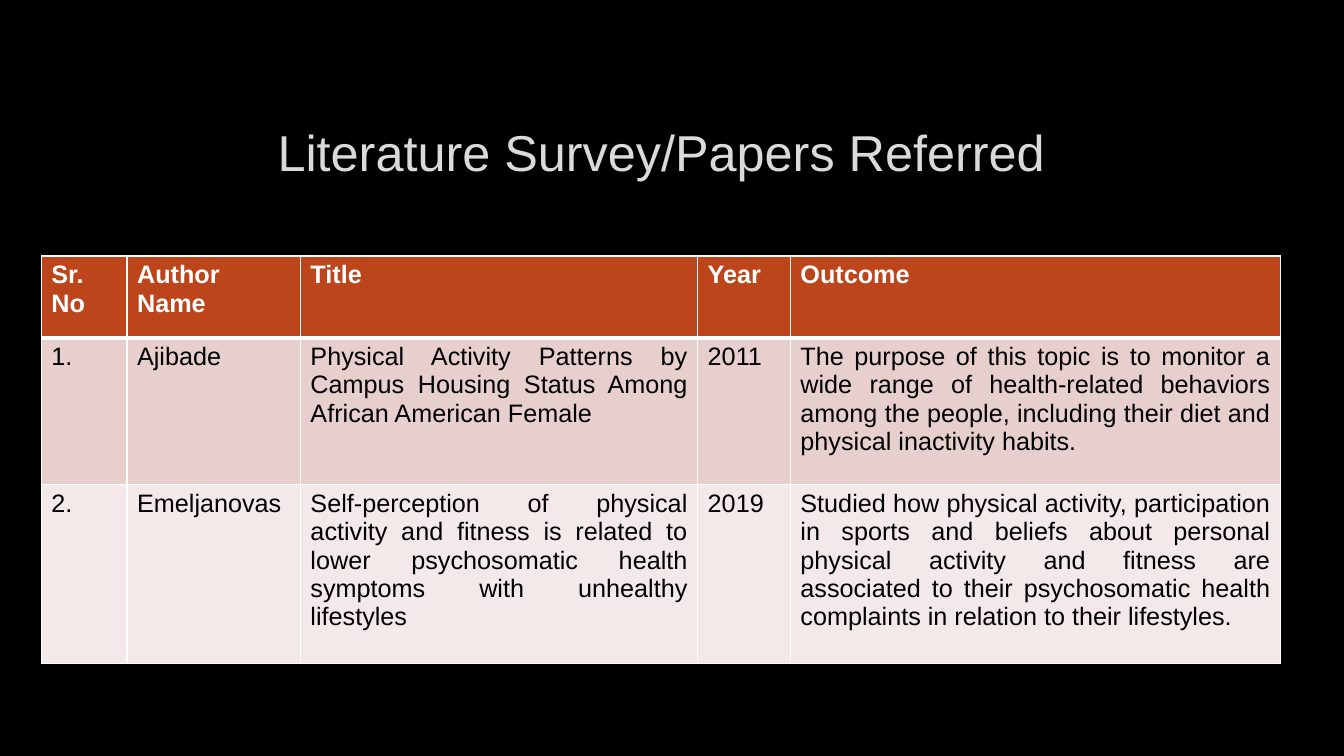
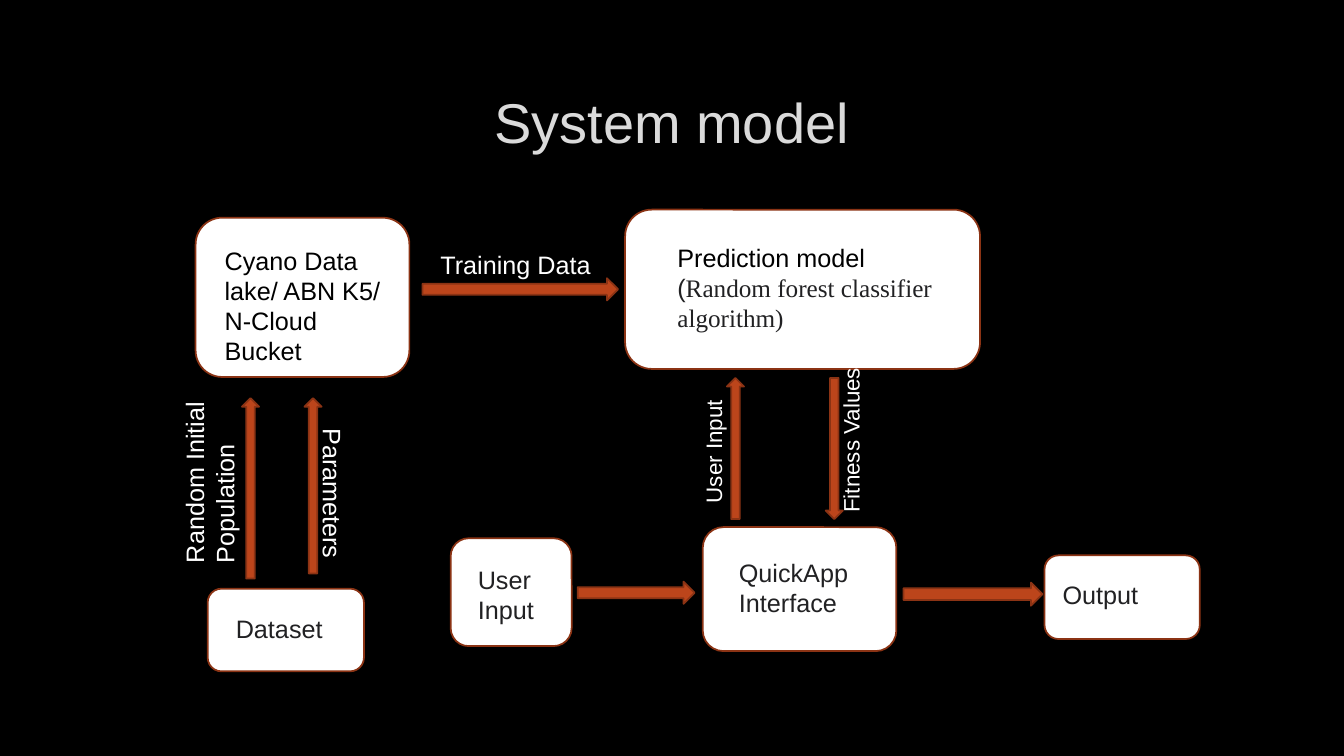
from collections import namedtuple

from lxml import etree
from pptx import Presentation
from pptx.dml.color import RGBColor
from pptx.enum.shapes import MSO_SHAPE
from pptx.enum.text import MSO_ANCHOR, PP_ALIGN
from pptx.oxml.ns import qn
from pptx.util import Inches, Pt

BLACK, WHITE = "000000", "FFFFFF"
INK, TITLE_GREY = "212123", "DADADA"
RUST, DARK_RUST = "BC451B", "8B3314"
ROW_FILLS = ["E7CFCD", "F3E9E8"]
TITLE_ONLY = 5


class Box(namedtuple("Box", "left top width height")):
    def inside(self, outer):
        """Shift a box given relative to the corner of an outer one."""
        return Box(outer.left + self.left, outer.top + self.top, self.width, self.height)

    def lengths(self):
        return [Inches(value) for value in self]


def color(hex_text):
    return RGBColor.from_string(hex_text)


def paint(target, hex_text):
    target.fill.solid()
    target.fill.fore_color.rgb = color(hex_text)


def add_span(para, text, size=18, font="Arial", ink=BLACK, bold=False):
    span = para.add_run()
    span.text = text
    span.font.size = Pt(size)
    span.font.name = font
    span.font.bold = bold
    span.font.color.rgb = color(ink)


def write(frame, text, align=PP_ALIGN.LEFT, **style):
    frame.word_wrap = True
    para = frame.paragraphs[0]
    para.alignment = align
    add_span(para, text, **style)


def add_page(deck, title, box, size):
    page = deck.slides.add_slide(deck.slide_layouts[TITLE_ONLY])
    heading = page.shapes.title
    heading.left, heading.top, heading.width, heading.height = box.lengths()
    heading.text_frame.vertical_anchor = MSO_ANCHOR.MIDDLE
    write(heading.text_frame, title, align=PP_ALIGN.CENTER, size=size, ink=TITLE_GREY)
    return page


def add_label(page, box, text, rotation=0, **style):
    label = page.shapes.add_textbox(*box.lengths())
    label.rotation = rotation
    write(label.text_frame, text, **style)
    return label


def add_block(page, kind, box, fill):
    block = page.shapes.add_shape(kind, *box.lengths())
    block.shadow.inherit = False
    paint(block, fill)
    block.line.color.rgb = color(DARK_RUST)
    block.line.width = Pt(1.25)


def add_node(page, box, caption_box, text, ink=INK):
    """Rounded box with a caption placed relative to it."""
    add_block(page, MSO_SHAPE.ROUNDED_RECTANGLE, box, WHITE)
    return add_label(page, caption_box.inside(box), text, ink=ink)


def set_borders(cell, top, bottom):
    """White borders; top and bottom widths in points, sides 1 point."""
    properties = cell._tc.get_or_add_tcPr()
    for side, width in (("L", 1), ("R", 1), ("T", top), ("B", bottom)):
        line = etree.SubElement(properties, qn(f"a:ln{side}"), w=str(Pt(width)))
        fill = etree.SubElement(line, qn("a:solidFill"))
        etree.SubElement(fill, qn("a:srgbClr"), val=WHITE)


def add_papers_table(page, box, columns, heights, rows):
    table = page.shapes.add_table(len(rows), len(columns), *box.lengths()).table
    table.first_row = table.horz_banding = False
    for column, (width, _) in zip(table.columns, columns):
        column.width = Inches(width)
    for index, (row, height, texts) in enumerate(zip(table.rows, heights, rows)):
        row.height = Inches(height)
        header = index == 0
        for cell, text, (_, align) in zip(row.cells, texts, columns):
            set_borders(cell, 3 if index == 1 else 1, 3 if header else 1)
            paint(cell, RUST if header else ROW_FILLS[(index - 1) % 2])
            write(cell.text_frame, text, bold=header, ink=WHITE if header else BLACK,
                  align=PP_ALIGN.LEFT if header else align)


def add_system_diagram(page, area):
    nodes = [
        (Box(0, 0.08, 2.12, 1.58), Box(0.19, 0.22, 1.8, 1.31),
         "Cyano Data lake/ ABN K5/ N-Cloud Bucket", BLACK),
        (Box(0.12, 3.76, 1.55, 0.82), Box(0.18, 0.2, 1.61, 0.4), "Dataset", INK),
        (Box(5.03, 3.15, 1.92, 1.23), Box(0.26, 0.25, 1.35, 0.71), "QuickApp Interface", INK),
        (Box(2.53, 3.26, 1.2, 1.07), Box(0.17, 0.21, 0.95, 0.71), "User Input", INK),
        (Box(8.42, 3.43, 1.54, 0.83), Box(0.08, 0.19, 1.4, 0.4), "Output", INK),
    ]
    for box, caption_box, text, ink in nodes:
        add_node(page, box.inside(area), caption_box, text, ink)

    prediction = add_node(page, Box(4.26, 0, 3.52, 1.58).inside(area),
                          Box(0.42, 0.27, 3.73, 1.31), "Prediction model", BLACK)
    para = prediction.text_frame.add_paragraph()
    add_span(para, "(", ink=INK)
    add_span(para, "Random forest classifier algorithm)", font="Times New Roman", ink=INK)

    up, down, right = MSO_SHAPE.UP_ARROW, MSO_SHAPE.DOWN_ARROW, MSO_SHAPE.RIGHT_ARROW
    arrows = [
        (up, Box(0.46, 1.87, 0.17, 1.79)),
        (up, Box(1.08, 1.87, 0.17, 1.74)),
        (up, Box(5.27, 1.67, 0.17, 1.4)),
        (down, Box(6.25, 1.67, 0.17, 1.4)),
        (right, Box(2.25, 0.68, 1.94, 0.22)),
        (right, Box(3.79, 3.69, 1.16, 0.22)),
        (right, Box(7.02, 3.7, 1.38, 0.23)),
    ]
    for kind, box in arrows:
        add_block(page, kind, box.inside(area), RUST)

    labels = [
        (Box(-0.83, 2.28, 1.94, 0.71), "Random Initial Population", 270, 18),
        (Box(0.52, 2.71, 1.68, 0.4), "Parameters", 90, 18),
        (Box(2.33, 0.34, 2.43, 0.4), "Training Data", 0, 18),
        (Box(5.66, 2.08, 1.68, 0.37), "Fitness Values", 270, 16),
        (Box(4.56, 1.98, 1.42, 0.64), "User Input", 270, 16),
    ]
    for box, text, rotation, size in labels:
        add_label(page, box.inside(area), text, rotation, size=size, ink=WHITE)


def build_survey(deck):
    page = add_page(deck, "Literature Survey/Papers Referred", Box(0.53, 1.13, 12.06, 0.75), 36)
    left, justified = PP_ALIGN.LEFT, PP_ALIGN.JUSTIFY
    columns = [(0.85, left), (1.72, left), (3.94, justified), (0.92, left), (4.86, justified)]
    rows = [
        ["Sr. No", "Author Name", "Title", "Year", "Outcome"],
        ["1.", "Ajibade",
         "Physical Activity Patterns by Campus Housing Status Among African American Female",
         "2011",
         "The purpose of this topic is to monitor a wide range of health-related behaviors "
         "among the people, including their diet and physical inactivity habits."],
        ["2.", "Emeljanovas",
         "Self-perception of physical activity and fitness is related to lower psychosomatic "
         "health symptoms with unhealthy lifestyles",
         "2019",
         "Studied how physical activity, participation in sports and beliefs about personal "
         "physical activity and fitness are associated to their psychosomatic health "
         "complaints in relation to their lifestyles."],
    ]
    add_papers_table(page, Box(0.41, 2.54, 12.3, 4.04), columns, [0.81, 1.46, 1.77], rows)


def build_system_model(deck):
    page = add_page(deck, "System model", Box(1, 0.67, 11.32, 1.06), 40)
    add_system_diagram(page, Box(1.94, 2.08, 9.96, 4.58))


def main():
    deck = Presentation()
    deck.slide_width, deck.slide_height = Inches(13.33), Inches(7.5)
    paint(deck.slide_master.background, BLACK)
    build_survey(deck)
    build_system_model(deck)
    deck.save("out.pptx")


if __name__ == "__main__":
    main()
